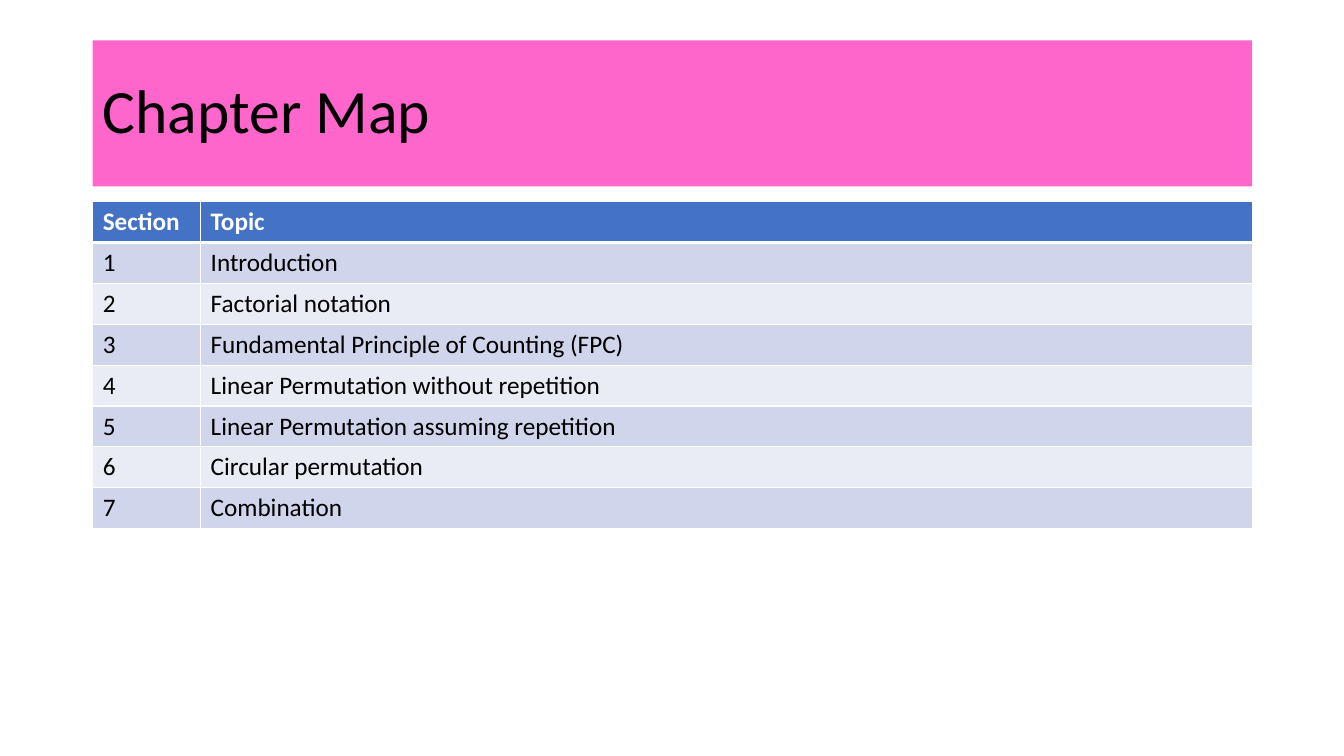
from lxml.etree import SubElement
from pptx import Presentation
from pptx.dml.color import RGBColor
from pptx.enum.shapes import MSO_SHAPE
from pptx.enum.text import MSO_ANCHOR, PP_ALIGN
from pptx.oxml.ns import qn
from pptx.util import Inches, Pt

COLORS = {
    "title_band": "FF66CC",
    "header": "4472C4",
    "odd_row": "CFD5EA",
    "even_row": "E9EBF5",
    "white": "FFFFFF",
    "black": "000000",
}
FONT = "Calibri"
TOPICS = [
    "Introduction",
    "Factorial notation",
    "Fundamental Principle of Counting (FPC)",
    "Linear Permutation without repetition",
    "Linear Permutation assuming repetition",
    "Circular permutation",
    "Combination",
]


def set_fill(target, color):
    target.fill.solid()
    target.fill.fore_color.rgb = RGBColor.from_string(COLORS[color])


def write_text(frame, text, size=18, color="black", bold=False, line_spacing=1.0):
    paragraph = frame.paragraphs[0]
    paragraph.alignment = PP_ALIGN.LEFT
    paragraph.line_spacing = line_spacing
    run = paragraph.add_run()
    run.text = text
    run.font.name = FONT
    run.font.size = Pt(size)
    run.font.bold = bold
    run.font.color.rgb = RGBColor.from_string(COLORS[color])


def set_borders(cell, **widths):
    """Draw white borders; widths in points by side, in the order L, R, T, B."""
    properties = cell._tc.get_or_add_tcPr()
    for side, width in widths.items():
        line = SubElement(properties, qn(f"a:ln{side}"), w=str(Pt(width)))
        fill = SubElement(line, qn("a:solidFill"))
        SubElement(fill, qn("a:srgbClr"), val=COLORS["white"])


def add_title_band(slide, left, top, width, height, text):
    band = slide.shapes.add_shape(
        MSO_SHAPE.RECTANGLE, Inches(left), Inches(top), Inches(width), Inches(height)
    )
    band.shadow.inherit = False
    set_fill(band, "title_band")
    band.line.fill.background()
    band.text_frame.word_wrap = True
    band.text_frame.vertical_anchor = MSO_ANCHOR.MIDDLE
    write_text(band.text_frame, text, size=44, line_spacing=0.9)


def add_topic_table(slide, left, top, width, height, section_width=1.07):
    rows = [("Section", "Topic")]
    rows += [(str(number), topic) for number, topic in enumerate(TOPICS, 1)]
    table = slide.shapes.add_table(
        len(rows), 2, Inches(left), Inches(top), Inches(width), Inches(height)
    ).table
    table.columns[0].width = Inches(section_width)
    table.columns[1].width = Inches(width - section_width)
    for row_index, row in enumerate(rows):
        is_header = row_index == 0
        band = "header" if is_header else "odd_row" if row_index % 2 else "even_row"
        for column_index, text in enumerate(row):
            cell = table.cell(row_index, column_index)
            set_borders(cell, L=1, R=1, T=3 if row_index == 1 else 1, B=3 if is_header else 1)
            set_fill(cell, band)
            write_text(
                cell.text_frame, text, color="white" if is_header else "black", bold=is_header
            )


def main():
    presentation = Presentation()
    presentation.slide_width = Inches(13.33)
    presentation.slide_height = Inches(7.5)
    slide = presentation.slides.add_slide(presentation.slide_layouts[6])
    left, width = 0.92, 11.5
    add_title_band(slide, left, 0.4, width, 1.45, "Chapter Map")
    add_topic_table(slide, left, 2, width, 3.24)
    presentation.save("out.pptx")


if __name__ == "__main__":
    main()
